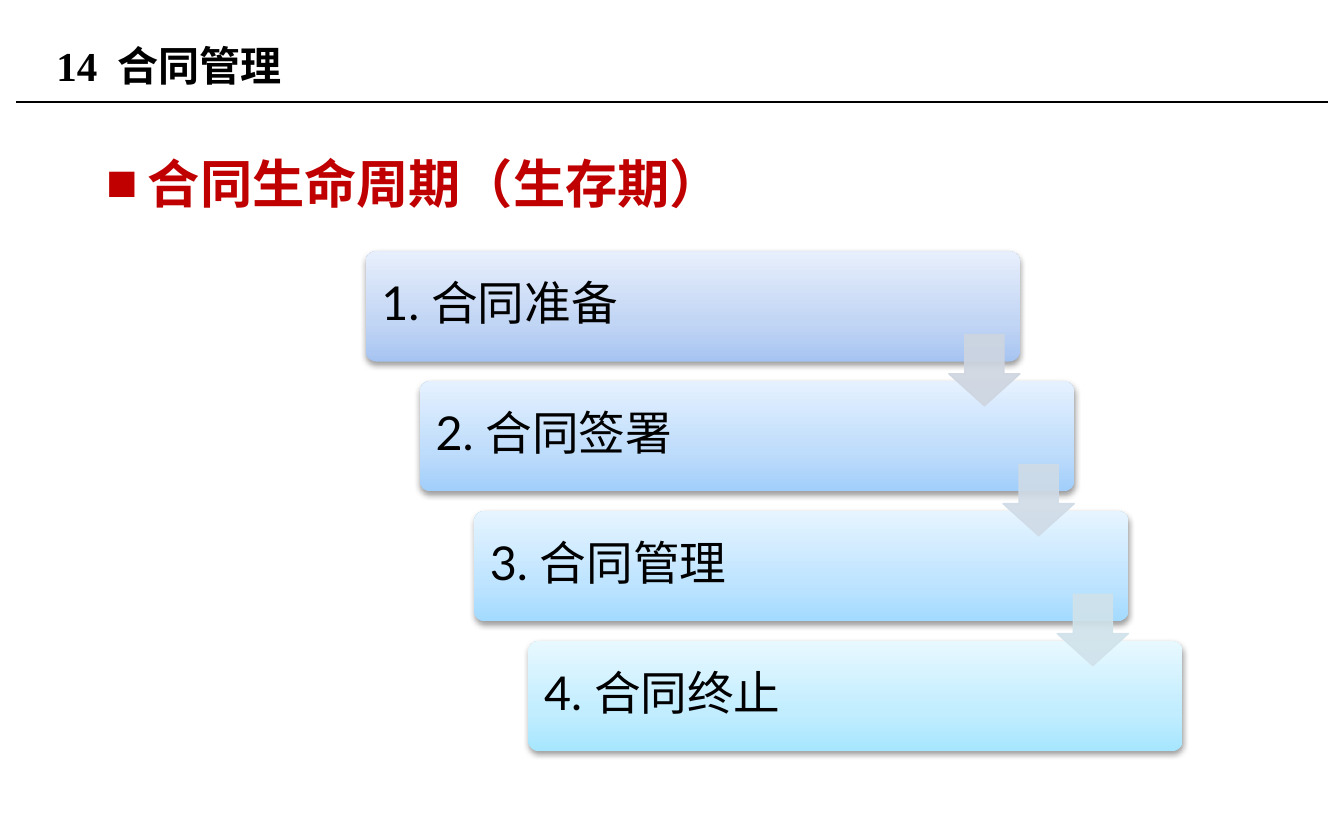
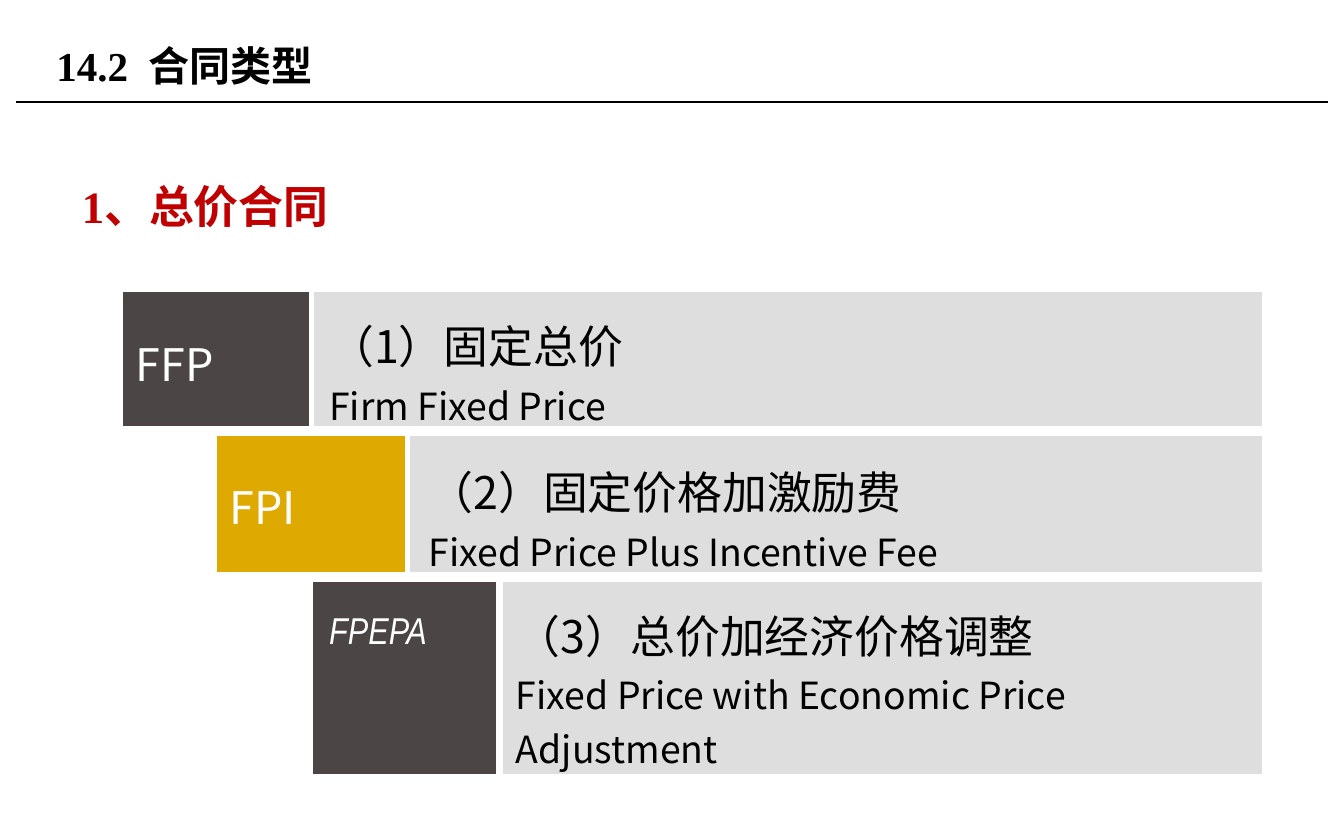
from dataclasses import dataclass

from lxml import etree
from pptx import Presentation
from pptx import util as u
from pptx.dml.color import RGBColor
from pptx.enum import shapes, text
from pptx.oxml.ns import qn

SERIF = "Times New Roman"
SANS = "Noto Sans CJK JP"
BLACK, WHITE, RED = "000000", "FFFFFF", "C00000"
DARK, GOLD, GREY = "4B4545", "DEA900", "DEDEDE"


@dataclass
class Step:
    label: str
    stops: tuple[str, str, str]
    arrow: str | None = None


@dataclass
class Contract:
    code: str
    name: str
    english: str
    fill: str
    code_margins: tuple[float, float]
    name_margins: tuple[float, float]
    height: float
    gap: float = 3
    code_font: str = SANS
    code_size: float = 24
    italic: bool = False


STEPS = [
    Step("1. 合同准备", ("A6C4F1", "C1D5F4", "E7EFFC"), "CED5E0"),
    Step("2. 合同签署", ("A1CEFB", "BEDCFB", "E5F1FF"), "CFDBE6"),
    Step("3. 合同管理", ("A3DAFF", "BEE4FF", "E6F4FF"), "D0E2EA"),
    Step("4. 合同终止", ("A7E6FF", "C1EDFF", "E7F8FF")),
]
STEP_LEFT, STEP_TOP = 2.72, 1.87
STEP_RIGHTWARD, STEP_DOWN = 1.21 / 3, 2.9 / 3

CONTRACTS = [
    Contract("FFP", "（1）固定总价", "Firm Fixed Price", DARK,
             (0.1, 0.28), (0.13, 0.15), 0.98),
    Contract("FPI", "（2）固定价格加激励费", "Fixed Price Plus Incentive Fee", GOLD,
             (0.1, 0.31), (0.16, 0.2), 1.01),
    Contract("FPEPA", "（3）总价加经济价格调整", "Fixed Price with Economic Price Adjustment", DARK,
             (0.13, 0.3), (0.12, 0.18), 1.02, 4.25, "Arial Narrow", 20, True),
]
COLUMNS = [0.7, 0.71, 0.71, 0.69, 5.68]


def rgb(value: str) -> RGBColor:
    return RGBColor.from_string(value)


def add_xml(parent, tag: str, **attributes):
    return etree.SubElement(parent, qn(tag), {key: str(value) for key, value in attributes.items()})


def place(box, left: float, top: float, width: float, height: float) -> None:
    box.left, box.top = u.Inches(left), u.Inches(top)
    box.width, box.height = u.Inches(width), u.Inches(height)


def style(para, size: float, name: str, color: str, bold: bool = False, italic: bool = False) -> None:
    para.font.size = u.Pt(size)
    para.font.bold = bold
    para.font.italic = italic
    para.font.color.rgb = rgb(color)
    para.font.name = name
    add_xml(para._p.pPr.find(qn("a:defRPr")), "a:ea", typeface=SANS)


def set_up_layout(deck):
    layout = deck.slide_layouts[1]
    place(layout.placeholders[0], 0.32, 0.13, 6.38, 0.71)
    return layout


def add_rule(page, layout) -> None:
    rule = page.shapes.add_connector(shapes.MSO_CONNECTOR.STRAIGHT, u.Inches(0.12), u.Inches(0.76),
                                     u.Inches(9.88), u.Inches(0.76))
    rule.line.color.rgb = rgb(BLACK)
    rule.line.width = u.Pt(0.75)
    add_xml(rule.element.spPr, "a:effectLst")
    layout.shapes.element.append(rule.element)


def add_page(deck, layout, title: str):
    page = deck.slides.add_slide(layout)
    para = page.shapes.title.text_frame.paragraphs[0]
    para.text = title
    para.alignment = text.PP_ALIGN.LEFT
    style(para, 22, SERIF, BLACK, bold=True)
    return page


def add_heading(page, heading: str, size: float, left: float, top: float, width: float,
                bulleted: bool = False) -> None:
    body = page.placeholders[1]
    place(body, left, top, width, 3.9)
    body.text_frame.auto_size = text.MSO_AUTO_SIZE.NONE
    para = body.text_frame.paragraphs[0]
    para.text = heading
    properties = para._p.get_or_add_pPr()
    if bulleted:
        para.level = 1
        properties.set("marL", str(u.Inches(0.81)))
        properties.set("indent", str(u.Inches(-0.31)))
        add_xml(properties, "a:buFont", typeface="Arial")
        add_xml(properties, "a:buChar", char="■")
    else:
        properties.set("marL", "0")
        properties.set("indent", "0")
        add_xml(properties, "a:buNone")
    para.line_spacing = 1.5
    para.space_before = u.Pt(0)
    style(para, size, SERIF, RED, bold=True)


def add_step(group, step: Step, left: float, top: float) -> None:
    card = group.shapes.add_shape(shapes.MSO_SHAPE.ROUNDED_RECTANGLE, u.Inches(left), u.Inches(top),
                                  u.Inches(4.87), u.Inches(0.82))
    card.adjustments[0] = 0.1
    card.fill.background()
    card.line.fill.background()
    card.shadow.inherit = False
    properties = card.element.spPr
    gradient = etree.Element(qn("a:gradFill"), rotWithShape="1")
    stops = add_xml(gradient, "a:gsLst")
    for position, color in zip((0, 35, 100), step.stops):
        add_xml(add_xml(stops, "a:gs", pos=position * 1000), "a:srgbClr", val=color)
    add_xml(gradient, "a:lin", ang=270 * 60000, scaled=0)
    properties.replace(properties.find(qn("a:noFill")), gradient)
    shadow = add_xml(properties.find(qn("a:effectLst")), "a:outerShdw", blurRad=u.Pt(3.1),
                     dist=u.Pt(1.6), dir=90 * 60000, rotWithShape=0)
    add_xml(add_xml(shadow, "a:srgbClr", val=BLACK), "a:alpha", val=38000)

    label = group.shapes.add_textbox(u.Inches(left + 0.02), u.Inches(top + 0.02),
                                     u.Inches(3.9), u.Inches(0.77))
    frame = label.text_frame
    frame.word_wrap = True
    frame.vertical_anchor = text.MSO_ANCHOR.MIDDLE
    frame.margin_left = frame.margin_right = frame.margin_top = frame.margin_bottom = u.Inches(0.1)
    para = frame.paragraphs[0]
    para.text = step.label
    para.line_spacing = 0.9
    style(para, 25, "Lato", BLACK)


def add_arrow(group, color: str, left: float, top: float) -> None:
    arrow = group.shapes.add_shape(shapes.MSO_SHAPE.DOWN_ARROW, u.Inches(left), u.Inches(top),
                                   u.Inches(0.53), u.Inches(0.53))
    arrow.adjustments[0], arrow.adjustments[1] = 0.55, 0.45
    arrow.shadow.inherit = False
    arrow.fill.solid()
    arrow.fill.fore_color.rgb = rgb(color)
    arrow.line.color.rgb = rgb(color)
    arrow.line.width = u.Pt(0.75)
    for paint in list(arrow.element.spPr.iter(qn("a:srgbClr"))):
        add_xml(paint, "a:alpha", val=90000)


def add_life_cycle(page) -> None:
    group = page.shapes.add_group_shape()
    corners = [(STEP_LEFT + STEP_RIGHTWARD * i, STEP_TOP + STEP_DOWN * i) for i in range(len(STEPS))]
    for step, (left, top) in zip(STEPS, corners):
        add_step(group, step, left, top)
    for step, (left, top) in zip(STEPS, corners):
        if step.arrow:
            add_arrow(group, step.arrow, left + 4.34, top + 0.62)


def format_cell(cell, fill: str | None, borders: dict[str, float]) -> None:
    properties = cell._tc.get_or_add_tcPr()
    for side in "LRTB":
        if side in borders:
            line = add_xml(properties, f"a:ln{side}", w=u.Pt(borders[side]))
            add_xml(add_xml(line, "a:solidFill"), "a:srgbClr", val=WHITE)
    if fill:
        cell.fill.solid()
        cell.fill.fore_color.rgb = rgb(fill)
    else:
        cell.fill.background()


def set_margins(cell, margins: tuple[float, float]) -> None:
    cell.margin_left, cell.margin_top = (u.Inches(margin) for margin in margins)
    cell.margin_right = cell.margin_bottom = 0


def add_contract_table(page) -> None:
    heights = [contract.height for contract in CONTRACTS]
    table = page.shapes.add_table(len(heights), len(COLUMNS), u.Inches(0.91), u.Inches(2.17),
                                  u.Inches(sum(COLUMNS)), u.Inches(sum(heights))).table
    table.first_row = table.horz_banding = False
    for column, width in zip(table.columns, COLUMNS):
        column.width = u.Inches(width)
    last = len(COLUMNS) - 1
    for i, contract in enumerate(CONTRACTS):
        table.rows[i].height = u.Inches(contract.height)
        edges = {}
        if i > 0:
            edges["T"] = 6
        if i < len(CONTRACTS) - 1:
            edges["B"] = 6
        for j in range(len(COLUMNS)):
            fill = None if j < i else contract.fill if j < i + 2 else GREY
            sides = {i + 1: {"R": contract.gap}, i + 2: {"L": contract.gap}}.get(j, {})
            if j == i:
                sides = {"R": contract.gap}
            format_cell(table.cell(i, j), fill, edges | sides)
        if i > 1:
            table.cell(i, 0).merge(table.cell(i, i - 1))
        code, name = table.cell(i, i), table.cell(i, i + 2)
        code.merge(table.cell(i, i + 1))
        if i + 2 < last:
            name.merge(table.cell(i, last))

        set_margins(code, contract.code_margins)
        code.text = contract.code
        style(code.text_frame.paragraphs[0], contract.code_size, contract.code_font, WHITE,
              italic=contract.italic)
        set_margins(name, contract.name_margins)
        name.text = f"{contract.name}\n{contract.english}"
        for para, size in zip(name.text_frame.paragraphs, (24, 20)):
            style(para, size, SANS, BLACK)


def main() -> None:
    deck = Presentation()
    deck.slide_width, deck.slide_height = u.Inches(10), u.Inches(6.25)
    layout = set_up_layout(deck)

    page = add_page(deck, layout, "14  合同管理")
    add_rule(page, layout)
    add_heading(page, "合同生命周期（生存期）", 28, 0.19, 0.84, 9.61, bulleted=True)
    add_life_cycle(page)

    page = add_page(deck, layout, "14.2  合同类型")
    add_heading(page, "1、总价合同", 24, 0.51, 1.08, 9.29)
    add_contract_table(page)

    deck.save("out.pptx")


if __name__ == "__main__":
    main()
